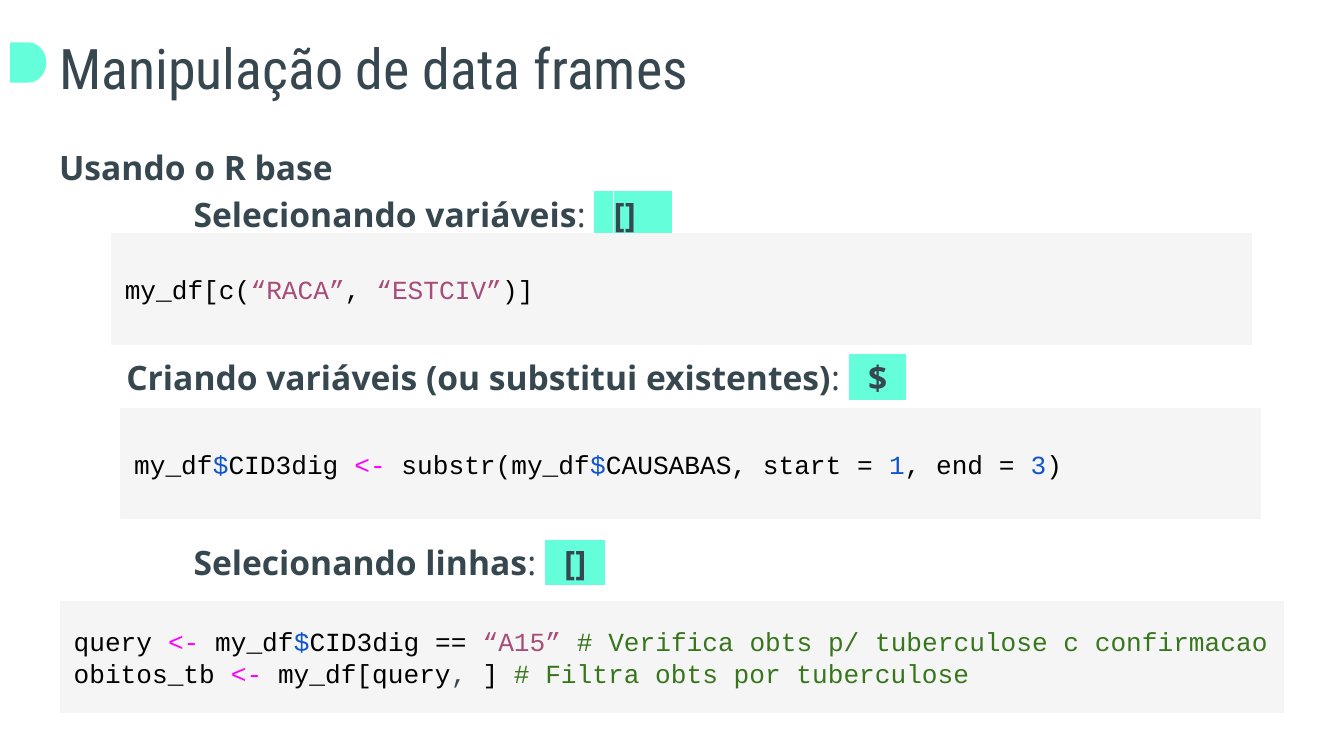
from dataclasses import dataclass

from lxml import etree
from pptx import Presentation
from pptx import util as u
from pptx.dml import color
from pptx.enum import shapes, text
from pptx.oxml import ns


@dataclass(frozen=True)
class Theme:
    ink: str = "37474F"
    mint: str = "64FFDA"
    panel: str = "F5F5F5"
    black: str = "000000"
    string: str = "A64D79"
    arrow: str = "FF00FF"
    number: str = "1155CC"
    comment: str = "38761D"
    title_font: str = "Roboto Condensed"
    body_font: str = "Open Sans"
    code_font: str = "Courier New"
    title_size: int = 30
    body_size: int = 18
    code_size: int = 14


class SlideBuilder:
    def __init__(self, deck, theme):
        self.theme = theme
        self.page = deck.slides.add_slide(deck.slide_layouts[1])

    def place(self, box, left, top, width, height):
        box.left, box.top = u.Inches(left), u.Inches(top)
        box.width, box.height = u.Inches(width), u.Inches(height)

    def frame(self, box, anchor):
        frame = box.text_frame
        frame.word_wrap = True
        frame.auto_size = text.MSO_AUTO_SIZE.NONE
        frame.vertical_anchor = anchor
        frame.margin_left = frame.margin_right = u.Inches(0.1)
        frame.margin_top = frame.margin_bottom = u.Inches(0.1)
        return frame

    def paragraph(self, frame, index):
        para = frame.add_paragraph() if index else frame.paragraphs[0]
        para.alignment = text.PP_ALIGN.LEFT
        para.space_before = u.Pt(0)
        return para

    def span(self, para, words, font, size, ink, bold=False, highlight=None):
        span = para.add_run()
        span.text = words
        span.font.name, span.font.size, span.font.bold = font, u.Pt(size), bold
        span.font.color.rgb = color.RGBColor.from_string(ink)
        if highlight:
            mark = etree.Element(ns.qn("a:highlight"))
            etree.SubElement(mark, ns.qn("a:srgbClr"), val=highlight)
            span.font.fill._xPr.find(ns.qn("a:solidFill")).addnext(mark)

    def title(self, words, *area):
        box = self.page.shapes.title
        self.place(box, *area)
        para = self.paragraph(self.frame(box, text.MSO_ANCHOR.TOP), 0)
        self.span(para, words, self.theme.title_font, self.theme.title_size, self.theme.ink)

    def body(self, entries, *area):
        theme = self.theme
        box = self.page.placeholders[1]
        self.place(box, *area)
        frame = self.frame(box, text.MSO_ANCHOR.TOP)
        for index, (heading, operator, tail, indent, before) in enumerate(entries):
            para = self.paragraph(frame, index)
            para.line_spacing = 1.15
            para.space_before = u.Pt(before)
            props = para._p.get_or_add_pPr()
            props.set("marL", str(u.Inches(indent)))
            props.set("indent", "0")
            etree.SubElement(props, ns.qn("a:buNone"))
            spans = [(heading, theme.ink, True, None)]
            if operator:
                spans += [
                    (": ", theme.ink, False, None),
                    ("+", theme.mint, False, theme.mint),
                    (operator, theme.ink, True, theme.mint),
                    ("+" + tail, theme.mint, True, theme.mint),
                ]
            for words, ink, bold, highlight in spans:
                self.span(para, words, theme.body_font, theme.body_size, ink, bold, highlight)

    def shape(self, kind, fill, *area):
        box = self.page.shapes.add_shape(kind, *map(u.Inches, area))
        box.shadow.inherit = False
        box.fill.solid()
        box.fill.fore_color.rgb = color.RGBColor.from_string(fill)
        box.line.color.rgb = color.RGBColor.from_string(fill)
        box.line.width = u.Pt(0.75)
        return box

    def code(self, lines, left, top, width):
        theme = self.theme
        box = self.shape(shapes.MSO_SHAPE.RECTANGLE, theme.panel, left, top, width, 0.82)
        frame = self.frame(box, text.MSO_ANCHOR.MIDDLE)
        for index, line in enumerate(lines):
            para = self.paragraph(frame, index)
            for words, ink in line:
                self.span(para, words, theme.code_font, theme.code_size, ink)


theme = Theme()
deck = Presentation()
deck.slide_width = u.Inches(10)
deck.slide_height = deck.slide_width * 9 // 16
slide = SlideBuilder(deck, theme)

slide.title("Manipulação de data frames", 0.34, 0.15, 9.32, 0.63)
slide.body(
    [
        ("Usando o R base", "", "", 0, 0),
        ("Selecionando variáveis", "[]", "\u2002", 1, 0),
        ("Criando variáveis (ou substitui existentes)", "$", "", 0.5, 62.5),
        ("Selecionando linhas", "[]", "", 1, 74.5),
    ],
    0.34, 0.95, 9.03, 4.47,
)
slide.shape(shapes.MSO_SHAPE.FLOWCHART_DELAY, theme.mint, 0.08, 0.32, 0.26, 0.29)

black, string, arrow = theme.black, theme.string, theme.arrow
number, comment = theme.number, theme.comment
select_columns = [
    [("my_df[c(", black), ("“RACA”", string), (", ", black),
     ("“ESTCIV”", string), (")]", black)],
]
create_column = [
    [("my_df", black), ("$", number), ("CID3dig ", black), ("<-", arrow),
     (" substr(my_df", black), ("$", number), ("CAUSABAS, start = ", black),
     ("1", number), (", end = ", black), ("3", number), (")", black)],
]
select_rows = [
    [("query ", black), ("<- ", arrow), ("my_df", black), ("$", number),
     ("CID3dig == ", black), ("“A15” ", string),
     ("# Verifica obts p/ tuberculose c confirmacao", comment)],
    [("obitos_tb ", black), ("<-", arrow), (" my_df[query", black),
     (", ", theme.ink), ("] ", black), ("# Filtra obts por tuberculose", comment)],
]
slide.code(select_columns, 0.83, 1.74, 8.48)
slide.code(select_rows, 0.45, 4.48, 9.1)
slide.code(create_column, 0.9, 3.04, 8.48)

deck.save("out.pptx")
